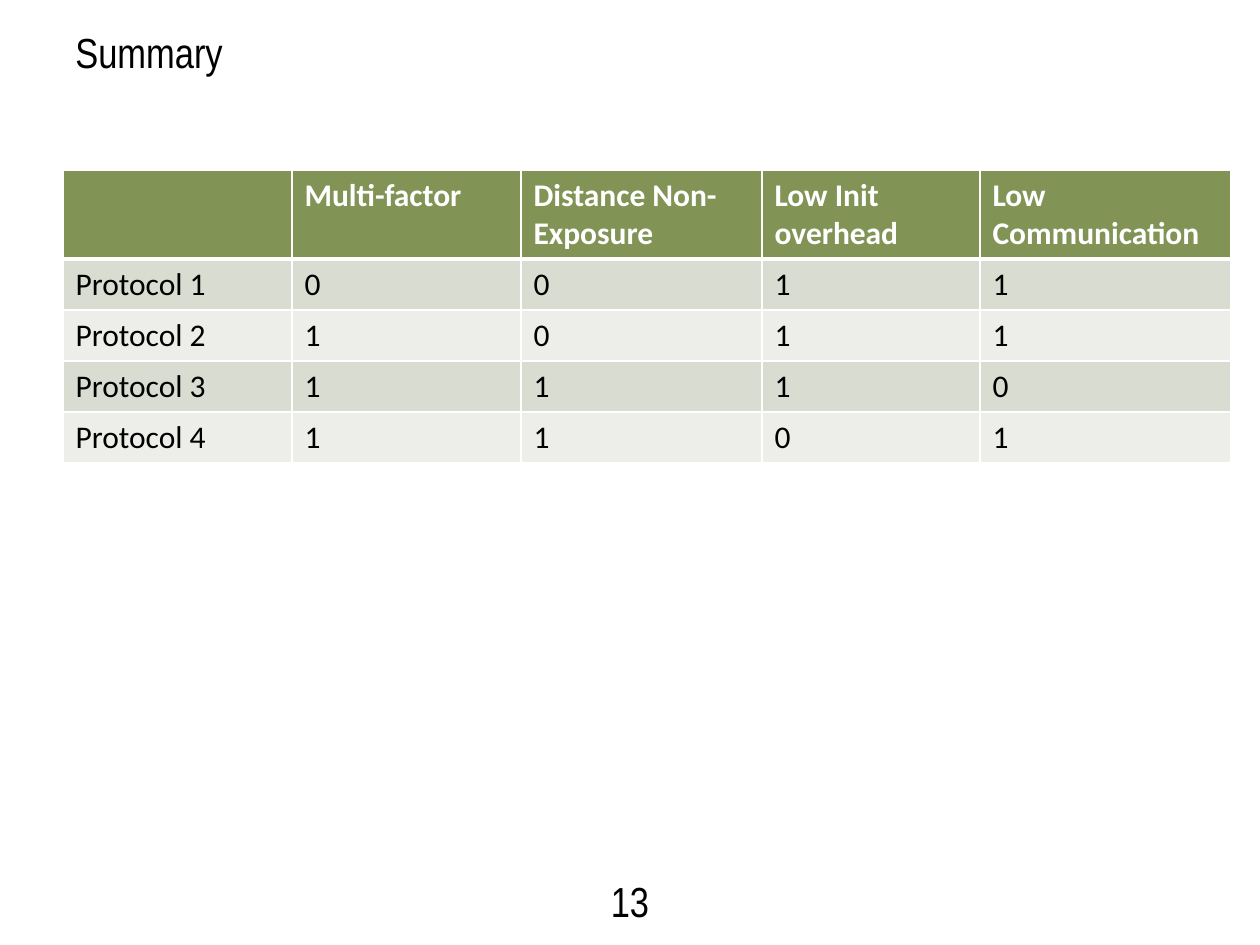
"""Build the protocol summary slide with its comparison table."""
import lxml.etree
import pptx
import pptx.dml.color
import pptx.enum.text
import pptx.oxml.ns
import pptx.util

EMU_PER_PX = 914400 / 126
BLACK = pptx.dml.color.RGBColor(0x00, 0x00, 0x00)
WHITE = pptx.dml.color.RGBColor(0xFF, 0xFF, 0xFF)
OLIVE = pptx.dml.color.RGBColor(0x82, 0x93, 0x56)
BAND_DARK = pptx.dml.color.RGBColor(0xD8, 0xDC, 0xD1)
BAND_LIGHT = pptx.dml.color.RGBColor(0xED, 0xEE, 0xE9)

HEADING = {"name": "Arial Narrow", "size": pptx.util.Pt(24)}
BODY = {"name": "Calibri", "size": pptx.util.Pt(18), "bold": False}
HEADER = {**BODY, "bold": True}

COLUMN_WIDTHS = (229, 229, 241, 218, 251)
HEADER_HEIGHT = 89
ROW_HEIGHT = 51
CRITERIA = ("", "Multi-factor", "Distance Non-Exposure",
            "Low Init overhead", "Low Communication")
PROTOCOLS = (
    ("Protocol 1", 0, 0, 1, 1),
    ("Protocol 2", 1, 0, 1, 1),
    ("Protocol 3", 1, 1, 1, 0),
    ("Protocol 4", 1, 1, 0, 1),
)


def px(length):
    return pptx.util.Emu(round(length * EMU_PER_PX))


def style_font(font, style, color):
    for attribute, value in style.items():
        setattr(font, attribute, value)
    font.color.rgb = color


def add_label(slide, text, box, align, anchor):
    frame = slide.shapes.add_textbox(*map(px, box)).text_frame
    frame.word_wrap = True
    frame.vertical_anchor = anchor
    paragraph = frame.paragraphs[0]
    paragraph.text = text
    paragraph.alignment = align
    style_font(paragraph.font, HEADING, BLACK)


def add_border(cell, side, points):
    qn = pptx.oxml.ns.qn
    properties = cell._tc.get_or_add_tcPr()
    line = lxml.etree.SubElement(properties, qn(f"a:ln{side}"),
                                 w=str(pptx.util.Pt(points)))
    fill = lxml.etree.SubElement(line, qn("a:solidFill"))
    lxml.etree.SubElement(fill, qn("a:srgbClr"), val=str(WHITE))


def fill_cell(cell, value, style, color, background, borders):
    for side, points in borders.items():
        add_border(cell, side, points)
    cell.fill.solid()
    cell.fill.fore_color.rgb = background
    paragraph = cell.text_frame.paragraphs[0]
    paragraph.text = str(value)
    style_font(paragraph.font, style, color)


def add_comparison(slide, left, top):
    rows = (CRITERIA, *PROTOCOLS)
    heights = [HEADER_HEIGHT] + [ROW_HEIGHT] * len(PROTOCOLS)
    box = (left, top, sum(COLUMN_WIDTHS), sum(heights))
    table = slide.shapes.add_table(len(rows), len(CRITERIA), *map(px, box)).table
    for column, width in zip(table.columns, COLUMN_WIDTHS):
        column.width = px(width)
    for index, (row, height, values) in enumerate(zip(table.rows, heights, rows)):
        row.height = px(height)
        borders = {"L": 1, "R": 1, "T": 3 if index == 1 else 1,
                   "B": 3 if index == 0 else 1}
        if index == 0:
            look = (HEADER, WHITE, OLIVE)
        else:
            look = (BODY, BLACK, BAND_DARK if index % 2 else BAND_LIGHT)
        for cell, value in zip(row.cells, values):
            fill_cell(cell, value, *look, borders)


def main():
    presentation = pptx.Presentation()
    presentation.slide_width = px(1260)
    presentation.slide_height = px(945)
    slide = presentation.slides.add_slide(presentation.slide_layouts[6])
    align = pptx.enum.text.PP_ALIGN
    anchor = pptx.enum.text.MSO_ANCHOR
    add_label(slide, "13", (562, 876, 136, 50), align.CENTER, anchor.MIDDLE)
    add_label(slide, "Summary", (63, 20, 1134, 71), align.LEFT, anchor.TOP)
    add_comparison(slide, 63, 170)
    presentation.save("out.pptx")


if __name__ == "__main__":
    main()
